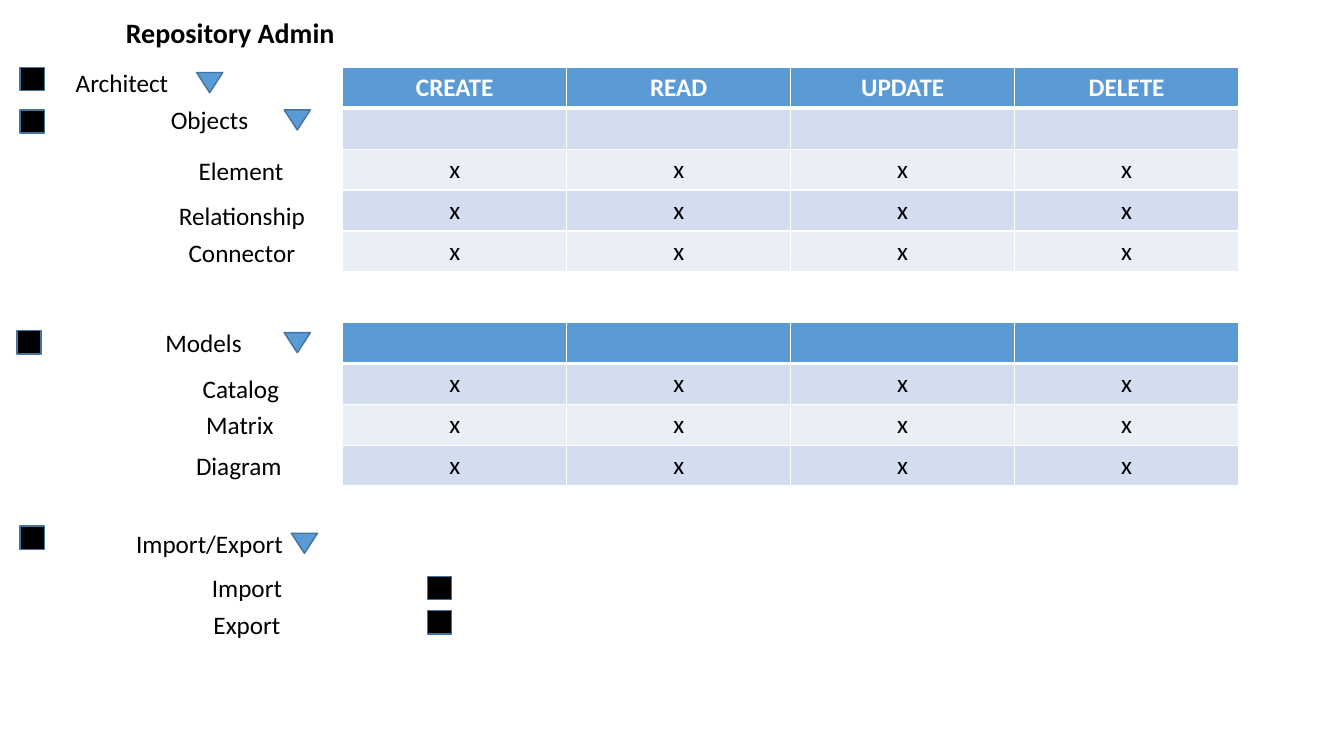
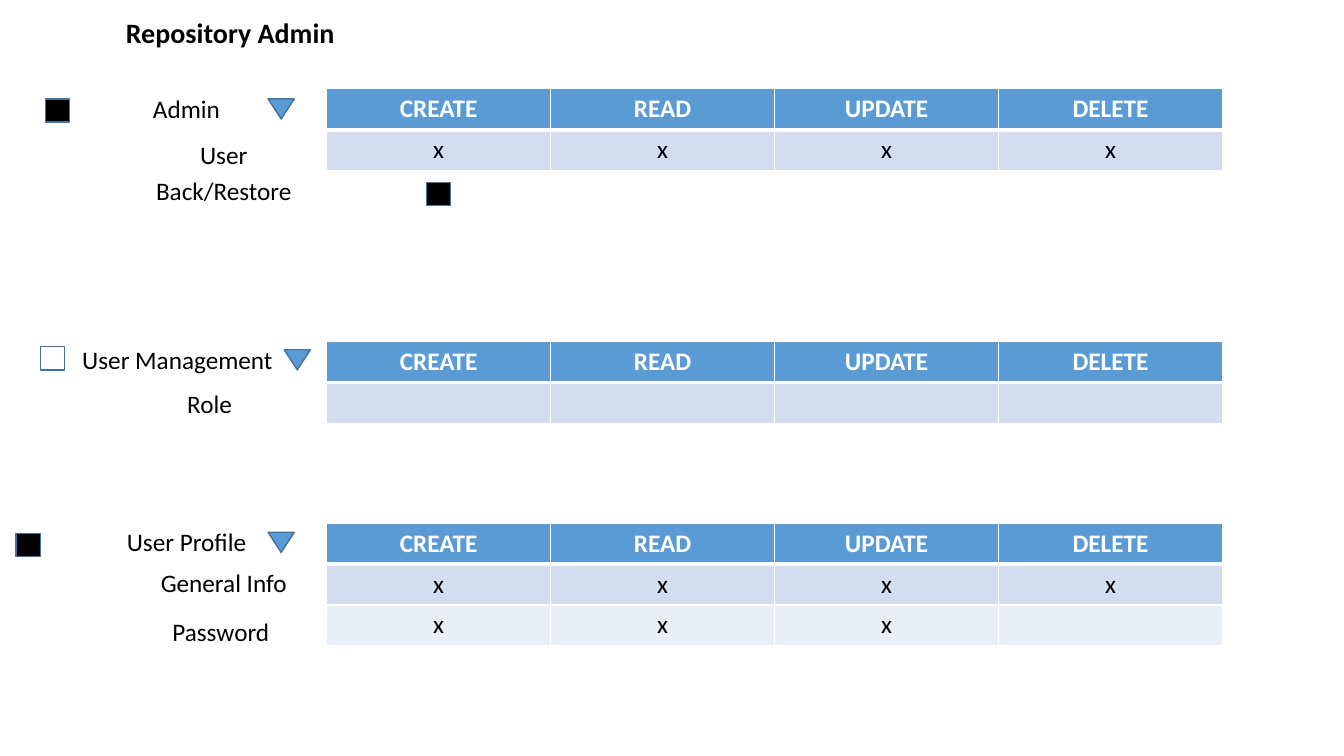
from pptx import Presentation
from pptx import util as u
from pptx.dml import color
from pptx.enum import shapes, text
from pptx.oxml import parse_xml
from pptx.oxml.ns import nsdecls

FONT = "Calibri"
BLACK, WHITE, BLUE, OUTLINE = "000000", "FFFFFF", "5B9BD5", "43739E"
BANDS = ("D2DEEF", "EAEFF7")
COLUMN_WIDTH, ROW_HEIGHT = 160, 29.2
LABEL_SIZE, ARROW_SIZE, CHECK_SIZE = (167, 29.1), (18.7, 14.4), (17.3, 16.6)
TITLE, TITLE_AREA = "Repository Admin", (82.8, 7.2, 171.4, 31.5)

HEADER = ["CREATE", "READ", "UPDATE", "DELETE"]
EMPTY, ALL = [""] * 4, ["x"] * 4

# Tables: left, top, rows. Labels: left, top, text.
# Arrows: left, top. Checks: left, top, whether ticked.
SLIDES = [
    {
        "tables": [
            (244.8, 48.2, [HEADER, EMPTY, ALL, ALL, ALL]),
            (244.8, 230.4, [EMPTY, ALL, ALL, ALL]),
        ],
        "labels": [
            (3.6, 44.6, "Architect"), (66.2, 70.6, "Objects"),
            (88.6, 107.3, "Element"), (89.3, 139.7, "Relationship"),
            (89.3, 165.6, "Connector"), (61.9, 230.4, "Models"),
            (88.6, 262.8, "Catalog"), (87.8, 288.7, "Matrix"),
            (87.1, 318.2, "Diagram"), (66.2, 373.7, "Import/Export"),
            (92.9, 405.4, "Import"), (92.9, 432, "Export"),
        ],
        "arrows": [(140.4, 51.8), (203, 78.5), (203, 237.6), (208.1, 380.9)],
        "checks": [
            (14.4, 48.2, True), (14.4, 78.5, True), (12.2, 236.2, True),
            (14.4, 375.8, True), (305.3, 411.8, True), (305.3, 436.3, True),
        ],
    },
    {
        "tables": [
            (233.3, 63.4, [HEADER, ALL]),
            (233.3, 244.1, [HEADER, EMPTY]),
            (233.3, 373.7, [HEADER, ALL, ["x", "x", "x", ""]]),
        ],
        "labels": [
            (49.7, 63.4, "Admin"), (76.3, 95.8, "User"),
            (76.3, 121.7, "Back/Restore"), (43.2, 242.6, "User Management"),
            (66.2, 273.6, "Role"), (49.7, 372.2, "User Profile"),
            (76.3, 401.8, "General Info"), (74.2, 437, "Password"),
        ],
        "arrows": [(191.5, 70.6), (203, 249.8), (191.5, 380.2)],
        "checks": [
            (32.4, 70.6, True), (304.6, 130.3, True),
            (28.8, 247.7, False), (11.5, 380.9, True),
        ],
    },
]


def rgb(value):
    """Turn a hex string into a colour."""
    return color.RGBColor.from_string(value)


def points(*lengths):
    """Turn numbers into lengths in points."""
    return [u.Pt(length) for length in lengths]


def write(frame, words, size=18, ink=BLACK, bold=False, align=text.PP_ALIGN.CENTER):
    """Write one aligned run into a text frame."""
    para = frame.paragraphs[0]
    para.alignment = align
    if words:
        span = para.add_run()
        span.text = words
        span.font.name, span.font.size, span.font.bold = FONT, u.Pt(size), bold
        span.font.color.rgb = rgb(ink)


def add_text(page, area, words, **style):
    """Add a wrapping text box."""
    frame = page.shapes.add_textbox(*points(*area)).text_frame
    frame.word_wrap = True
    write(frame, words, **style)


def add_mark(page, kind, area, fill):
    """Add an outlined shape, unfilled when fill is None."""
    box = page.shapes.add_shape(kind, *points(*area))
    box.shadow.inherit = False
    if fill:
        box.fill.solid()
        box.fill.fore_color.rgb = rgb(fill)
    else:
        box.fill.background()
    box.line.color.rgb = rgb(OUTLINE)
    box.line.width = u.Pt(1)
    return box


def add_borders(cell, top, bottom):
    """Draw white borders round a cell, with widths in points."""
    properties = cell._tc.get_or_add_tcPr()
    for side, width in (("L", 1), ("R", 1), ("T", top), ("B", bottom)):
        properties.append(parse_xml(
            f'<a:ln{side} {nsdecls("a")} w="{u.Pt(width)}"><a:solidFill>'
            f'<a:srgbClr val="{WHITE}"/></a:solidFill></a:ln{side}>'))


def add_grid(page, left, top, rows):
    """Add a permission table with a blue header and banded rows."""
    area = points(left, top, COLUMN_WIDTH * len(HEADER), ROW_HEIGHT * len(rows))
    table = page.shapes.add_table(len(rows), len(HEADER), *area).table
    for column in table.columns:
        column.width = u.Pt(COLUMN_WIDTH)
    for number, words in enumerate(rows):
        table.rows[number].height = u.Pt(ROW_HEIGHT)
        heading = number == 0
        for cell, word in zip(table.rows[number].cells, words):
            add_borders(cell, 3 if number == 1 else 1, 3 if heading else 1)
            cell.fill.solid()
            cell.fill.fore_color.rgb = rgb(BLUE if heading else BANDS[(number - 1) % 2])
            write(cell.text_frame, word, ink=WHITE if heading else BLACK, bold=heading)


def build_page(deck, content):
    """Build one permission slide."""
    page = deck.slides.add_slide(deck.slide_layouts[6])
    add_text(page, TITLE_AREA, TITLE, size=20, bold=True, align=text.PP_ALIGN.LEFT)
    for left, top, rows in content["tables"]:
        add_grid(page, left, top, rows)
    for left, top, words in content["labels"]:
        add_text(page, (left, top, *LABEL_SIZE), words)
    for place in content["arrows"]:
        arrow = add_mark(page, shapes.MSO_SHAPE.ISOSCELES_TRIANGLE, (*place, *ARROW_SIZE), BLUE)
        arrow.rotation = 180
    for left, top, ticked in content["checks"]:
        add_mark(page, shapes.MSO_SHAPE.RECTANGLE, (left, top, *CHECK_SIZE),
                 BLACK if ticked else None)


deck = Presentation()
deck.slide_width, deck.slide_height = points(960, 540)
for content in SLIDES:
    build_page(deck, content)
deck.save("out.pptx")
